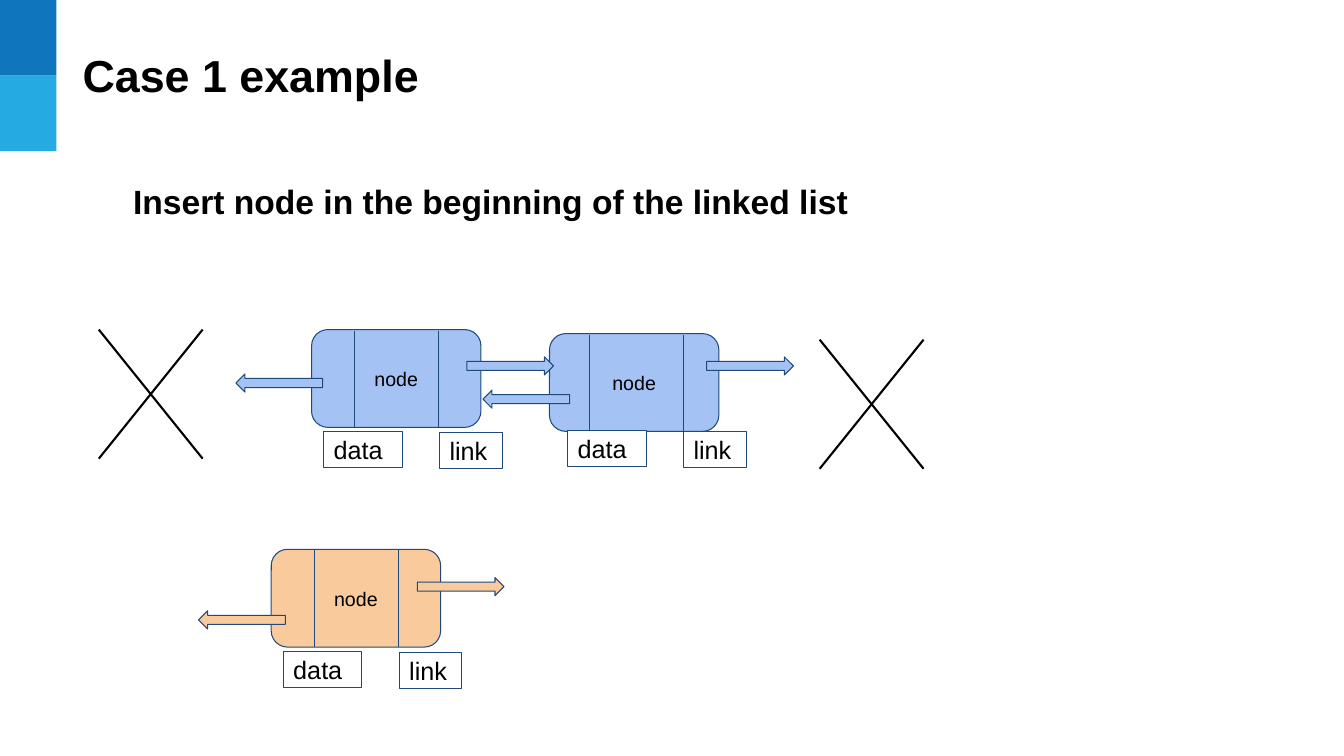
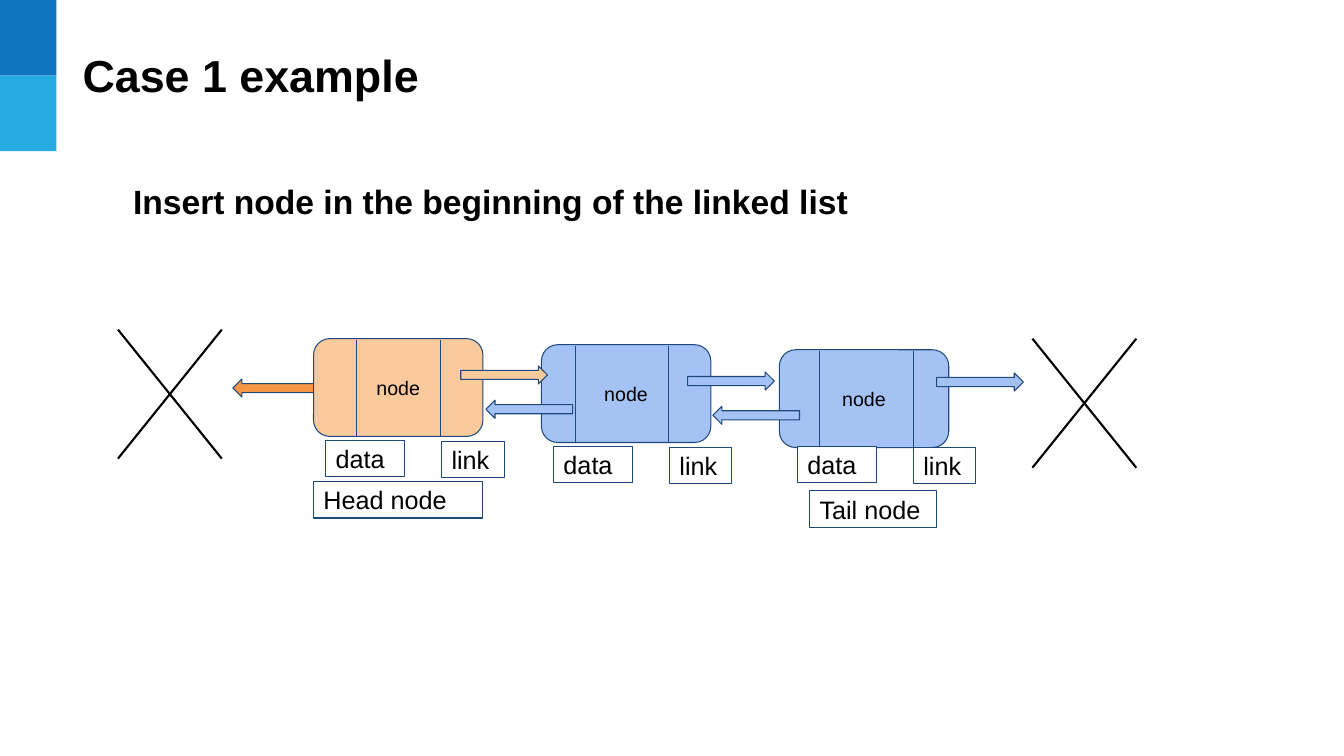
from lxml import etree
from pptx import Presentation
from pptx.dml.color import RGBColor
from pptx.enum.shapes import MSO_CONNECTOR, MSO_SHAPE
from pptx.enum.text import MSO_ANCHOR, MSO_AUTO_SIZE, PP_ALIGN
from pptx.oxml.ns import qn
from pptx.util import Pt

STRAIGHT = MSO_CONNECTOR.STRAIGHT
RECT = MSO_SHAPE.RECTANGLE
ROUNDED = MSO_SHAPE.ROUNDED_RECTANGLE
RIGHT_ARROW = MSO_SHAPE.RIGHT_ARROW
LEFT_ARROW = MSO_SHAPE.LEFT_ARROW
MIDDLE = MSO_ANCHOR.MIDDLE
TOP = MSO_ANCHOR.TOP
LEFT = PP_ALIGN.LEFT
CENTER = PP_ALIGN.CENTER
GROW = MSO_AUTO_SIZE.SHAPE_TO_FIT_TEXT

EMU_PER_PX = 9144
FONT = "Arial"
BLACK, WHITE, NAVY = "000000", "FFFFFF", "1F497D"
BLUE, PEACH, ORANGE = "A4C2F4", "F9CB9C", "F79646"
BANDS = ("0F75BD", "25AAE2")
NODE_W, NODE_H = 168, 97
LABEL_H = 36
ARROW_W, ARROW_H = 86, 18
CROSS_W, CROSS_H = 103, 128
TAIL_LAYOUT = {"left": 40, "right": 133, "data": (18, 96)}


def px(*values):
    return [v * EMU_PER_PX for v in values]


def rgb(value):
    return RGBColor.from_string(value)


def set_text(sp, text, size, bold=False, align=LEFT, anchor=MIDDLE, insets=(10, 10, 10, 10)):
    tf = sp.text_frame
    tf.word_wrap = True
    tf.vertical_anchor = anchor
    tf.margin_left, tf.margin_top, tf.margin_right, tf.margin_bottom = px(*insets)
    tf.text = text
    p = tf.paragraphs[0]
    p.alignment = align
    font = p.runs[0].font
    font.name, font.size, font.bold = FONT, Pt(size), bold
    font.color.rgb = rgb(BLACK)


def add_box(shapes, kind, x, y, w, h, fill, line=NAVY):
    sp = shapes.add_shape(kind, *px(x, y, w, h))
    sp.shadow.inherit = False
    sp.fill.solid()
    sp.fill.fore_color.rgb = rgb(fill)
    if line:
        sp.line.color.rgb = rgb(line)
        sp.line.width = Pt(0.75)
    else:
        sp.line.fill.background()
    return sp


def add_line(shapes, x1, y1, x2, y2, color=NAVY, width=0.75):
    cn = shapes.add_connector(STRAIGHT, *px(x1, y1, x2, y2))
    cn.line.color.rgb = rgb(color)
    cn.line.width = Pt(width)
    etree.SubElement(cn._element.spPr, qn("a:effectLst"))


def add_label(shapes, text, x, y, w):
    set_text(add_box(shapes, RECT, x, y, w, LABEL_H, WHITE), text, 18)


def add_node(slide, x, y, fill, left=43, right=126, data=(12, 101)):
    shapes = slide.shapes.add_group_shape().shapes
    sp = add_box(shapes, ROUNDED, x, y, NODE_W, NODE_H, fill)
    set_text(sp, "node", 14, align=CENTER)
    for dx in (left, right):
        add_line(shapes, x + dx, y + 1, x + dx, y + NODE_H)
    dx, dy = data
    add_label(shapes, "data", x + dx, y + dy, 78)
    add_label(shapes, "link", x + dx + 115, y + dy + 1, 62)


def add_arrow(slide, kind, x, y, fill):
    add_box(slide.shapes, kind, x, y, ARROW_W, ARROW_H, fill)


def add_cross(slide, x, y):
    shapes = slide.shapes.add_group_shape().shapes
    for y1, y2 in ((y, y + CROSS_H), (y + CROSS_H, y)):
        add_line(shapes, x, y1, x + CROSS_W, y2, BLACK, 1.5)


def add_slide(prs, title, subtitle):
    slide = prs.slides.add_slide(prs.slide_layouts[6])
    for i, color in enumerate(BANDS):
        add_box(slide.shapes, RECT, 0, i * 75, 56, 75, color, None)
    sp = slide.shapes.add_textbox(*px(72, 29, 875, 90))
    set_text(sp, title, 32, bold=True, insets=(10, 5, 10, 5))
    sp = slide.shapes.add_textbox(*px(72, 169, 1015, 61))
    set_text(sp, subtitle, 24, bold=True, anchor=TOP, insets=(60, 10, 10, 10))
    sp.text_frame.auto_size = GROW
    return slide


def build_before(slide):
    add_node(slide, 269, 545, PEACH)
    add_arrow(slide, RIGHT_ARROW, 414, 573, PEACH)
    add_arrow(slide, LEFT_ARROW, 197, 606, PEACH)
    add_node(slide, 545, 331, BLUE, **TAIL_LAYOUT)
    add_node(slide, 309, 327, BLUE)
    for x in (463, 701):
        add_arrow(slide, RIGHT_ARROW, x, 354, BLUE)
    add_arrow(slide, LEFT_ARROW, 479, 387, BLUE)
    add_arrow(slide, LEFT_ARROW, 234, 371, BLUE)
    add_cross(slide, 98, 327)
    add_cross(slide, 813, 337)


def build_after(slide):
    add_arrow(slide, LEFT_ARROW, 231, 376, ORANGE)
    add_node(slide, 773, 347, BLUE, **TAIL_LAYOUT)
    add_node(slide, 537, 342, BLUE, left=34)
    add_node(slide, 311, 336, PEACH)
    add_label(slide.shapes, "Head node", 311, 478, 168)
    add_label(slide.shapes, "Tail node", 803, 487, 126)
    add_arrow(slide, RIGHT_ARROW, 457, 363, PEACH)
    add_arrow(slide, RIGHT_ARROW, 682, 369, BLUE)
    add_arrow(slide, RIGHT_ARROW, 929, 370, BLUE)
    add_arrow(slide, LEFT_ARROW, 482, 397, BLUE)
    add_arrow(slide, LEFT_ARROW, 707, 403, BLUE)
    add_cross(slide, 117, 327)
    add_cross(slide, 1024, 336)


def main():
    prs = Presentation()
    prs.slide_width, prs.slide_height = px(1333, 750)
    for build in (build_before, build_after):
        build(add_slide(prs, "Case 1 example", "Insert node in the beginning of the linked list"))
    prs.save("out.pptx")


if __name__ == "__main__":
    main()
